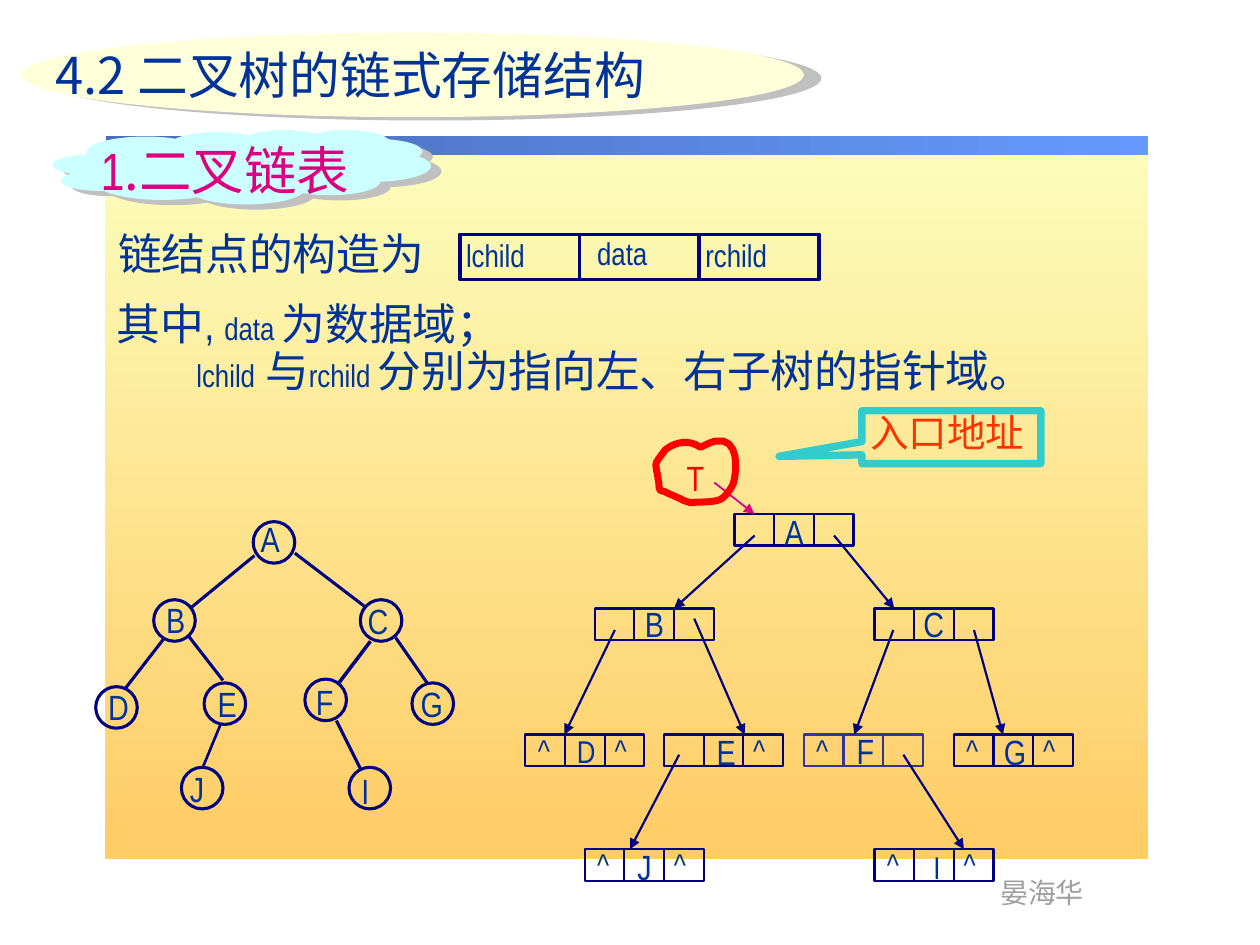
import dataclasses

import lxml.etree
import pptx
import pptx.dml.color
import pptx.enum.shapes
import pptx.enum.text
import pptx.oxml.ns
import pptx.util

SHAPE = pptx.enum.shapes.MSO_SHAPE
ANCHOR = pptx.enum.text.MSO_ANCHOR
qn = pptx.oxml.ns.qn


@dataclasses.dataclass(frozen=True)
class Theme:
    latin: str = "Arial Narrow"
    cjk: str = "Noto Sans CJK SC"
    ink: str = "003399"
    navy: str = "000080"
    violet: str = "333399"
    magenta: str = "DC0081"
    red: str = "FF0000"
    orange: str = "FF3300"
    teal: str = "33CCCC"
    grey: str = "9F9F9F"
    shade: str = "C0C0C0"
    title: float = 29
    heading: float = 30
    body: float = 25
    callout: float = 22
    node: float = 20
    field: float = 18
    footer: float = 16


T = Theme()
CELL_W, CELL_H, CIRCLE = 0.315, 0.25, 0.33

# Linked nodes: left, top, label offset x, y, label size, null pointers (l, r)
LINKED = {
    "A": (5.83, 4.08, 0.30, -0.08, T.node, ""),
    "B": (4.72, 4.83, 0.30, -0.10, T.node, ""),
    "C": (6.94, 4.83, 0.29, -0.10, T.node, ""),
    "D": (4.17, 5.83, 0.31, -0.07, T.field, "lr"),
    "E": (5.27, 5.83, 0.32, -0.08, T.node, "r"),
    "F": (6.38, 5.83, 0.32, -0.09, T.node, "l"),
    "G": (7.57, 5.83, 0.30, -0.08, T.node, "lr"),
    "J": (4.64, 6.74, 0.32, -0.08, T.node, "lr"),
    "I": (6.94, 6.74, 0.37, -0.06, T.field, "lr"),
}
# Pointers: start, end, child whose left cell is hit at its top middle
POINTERS = [
    (5.99, 4.25, 5.35, 4.83, None), (6.62, 4.25, 7.09, 4.83, "C"),
    (4.88, 5.00, 4.48, 5.83, None), (5.51, 4.91, 5.91, 5.83, None),
    (7.09, 5.00, 6.78, 5.83, None), (7.73, 5.00, 7.96, 5.83, None),
    (5.39, 5.99, 5.00, 6.74, None), (7.17, 5.99, 7.65, 6.74, None),
]
# Tree nodes: circle left, top, label left, top
TREE = {
    "A": (2.01, 4.14, 1.97, 4.06), "B": (1.22, 4.76, 1.22, 4.70),
    "C": (2.86, 4.76, 2.82, 4.71), "D": (0.76, 5.45, 0.76, 5.39),
    "E": (1.62, 5.42, 1.63, 5.37), "F": (2.42, 5.39, 2.41, 5.35),
    "G": (3.27, 5.42, 3.24, 5.37), "I": (2.77, 6.09, 2.77, 6.06),
    "J": (1.44, 6.09, 1.41, 6.04),
}
EDGES = [
    (2.69, 5.42, 2.94, 5.09, 2), (1.49, 5.04, 1.77, 5.40, 1.75),
    (0.99, 5.47, 1.30, 5.07, 1.75), (2.34, 4.39, 2.89, 4.81, 1.75),
    (1.52, 4.82, 2.02, 4.41, 1.75), (1.61, 6.09, 1.75, 5.75, 1.5),
    (2.67, 5.72, 2.86, 6.10, 1.75), (3.14, 5.06, 3.39, 5.42, 1.75),
]
# Loop around T: start point, then Bezier segments (two controls, end)
LOOP_START = (5.56, 3.55)
LOOP = [
    (5.47, 3.49, 5.37, 3.50, 5.28, 3.57), (5.18, 3.71, 5.20, 3.64, 5.23, 3.84),
    (5.23, 3.86, 5.23, 3.88, 5.24, 3.89), (5.26, 3.90, 5.28, 3.90, 5.29, 3.91),
    (5.50, 4.00, 5.36, 3.95, 5.48, 3.99), (5.55, 3.98, 5.63, 3.99, 5.70, 3.97),
    (5.76, 3.96, 5.82, 3.84, 5.82, 3.84), (5.85, 3.73, 5.87, 3.47, 5.68, 3.50),
    (5.64, 3.51, 5.60, 3.53, 5.56, 3.55),
]


def inch(v):
    return pptx.util.Cm(v * 2.54)


def rgb(color):
    return pptx.dml.color.RGBColor.from_string(color)


def outer_shadow(color, dist, angle):
    effects = lxml.etree.Element(qn("a:effectLst"))
    shadow = lxml.etree.SubElement(
        effects, qn("a:outerShdw"), dist=str(pptx.util.Pt(dist)),
        dir=str(angle * 60000), algn="ctr", rotWithShape="0")
    lxml.etree.SubElement(shadow, qn("a:srgbClr"), val=color)
    return effects


def style_line(line, color, width):
    line.color.rgb = rgb(color)
    line.width = pptx.util.Pt(width)


def shape(s, kind, x, y, w, h, fill=None, line=None, width=1.25):
    sp = s.shapes.add_shape(kind, inch(x), inch(y), inch(w), inch(h))
    sp.shadow.inherit = False
    paint(sp, fill, line, width)
    return sp


def paint(sp, fill, line, width):
    if isinstance(fill, tuple):
        start, end, angle = fill
        sp.fill.gradient()
        sp.fill.gradient_angle = angle
        for stop, color in zip(sp.fill.gradient_stops, (start, end)):
            stop.color.rgb = rgb(color)
    elif fill:
        sp.fill.solid()
        sp.fill.fore_color.rgb = rgb(fill)
    else:
        sp.fill.background()
    if line:
        style_line(sp.line, line, width)
    else:
        sp.line.fill.background()


def cast_shadow(sp, dist, angle):
    old = sp.element.spPr.find(qn("a:effectLst"))
    sp.element.spPr.replace(old, outer_shadow(T.shade, dist, angle))


def format_run(r, size, color=T.ink, font=T.latin):
    r.font.size = pptx.util.Pt(size)
    r.font.color.rgb = rgb(color)
    r.font.name = font
    ea = lxml.etree.Element(qn("a:ea"), typeface=T.cjk)
    r.font._element.find(qn("a:latin")).addnext(ea)


def text(s, value, x, y, w, h, size, color=T.ink, font=T.latin, anchor=ANCHOR.TOP):
    sp = s.shapes.add_textbox(inch(x), inch(y), inch(w), inch(h))
    tf = sp.text_frame
    tf.word_wrap = True
    tf.vertical_anchor = anchor
    tf.text = value
    format_run(tf.paragraphs[0].runs[0], size, color, font)
    return sp


def add_runs(p, parts):
    for value, size, font in parts:
        r = p.add_run()
        r.text = value
        format_run(r, size, font=font)


def line(s, x1, y1, x2, y2, width, color=T.navy, arrow=False, target=None):
    c = s.shapes.add_connector(pptx.enum.shapes.MSO_CONNECTOR.STRAIGHT,
                               inch(x1), inch(y1), inch(x2), inch(y2))
    style_line(c.line, color, width)
    if target is not None:
        c.end_connect(target, 0)
    if arrow:
        lxml.etree.SubElement(c.line._get_or_add_ln(), qn("a:tailEnd"), type="triangle")
    lxml.etree.SubElement(c.element.spPr, qn("a:effectLst"))


def linked_node(s, name):
    x, y, dx, dy, size, nulls = LINKED[name]
    color = T.violet if name == "F" else T.navy
    cells = [shape(s, SHAPE.RECTANGLE, x + i * CELL_W, y, CELL_W, CELL_H, line=color)
             for i in range(3)]
    text(s, name, x + dx, y + dy, 0.4, 0.43, size)
    for side in nulls:
        text(s, "^", x + (0.61 if side == "r" else 0), y - 0.08, 0.4, 0.5, T.field)
    return cells[0]


def loop(s, steps=8):
    points, start = [], LOOP_START
    for x1, y1, x2, y2, x3, y3 in LOOP:
        for t in (i / steps for i in range(1, steps + 1)):
            u = 1 - t
            weights = (u ** 3, 3 * u * u * t, 3 * u * t * t, t ** 3)
            points.append(tuple(inch(sum(k * v for k, v in zip(weights, axis)))
                                for axis in ((start[0], x1, x2, x3), (start[1], y1, y2, y3))))
        start = (x3, y3)
    fb = s.shapes.build_freeform(inch(LOOP_START[0]), inch(LOOP_START[1]))
    fb.add_line_segments(points, close=True)
    sp = fb.convert_to_shape()
    sp.shadow.inherit = False
    paint(sp, None, T.red, 4)


def headings(s):
    oval = shape(s, SHAPE.OVAL, 0.17, 0.26, 6.21, 0.67, "FFFFD9")
    cast_shadow(oval, 10.2, 11)
    title = s.shapes.title
    title.left, title.top, title.width, title.height = map(inch, (0.34, 0.3, 6.23, 0.58))
    tf = title.text_frame
    tf.text = "4.2 二叉树的链式存储结构"
    tf.auto_size = pptx.enum.text.MSO_AUTO_SIZE.NONE
    tf.vertical_anchor = ANCHOR.TOP
    p = tf.paragraphs[0]
    p.alignment = pptx.enum.text.PP_ALIGN.LEFT
    format_run(p.runs[0], T.title, font=T.cjk)
    oval.element.addnext(title.element)

    cloud = shape(s, SHAPE.CLOUD, 0.42, 1.03, 3, 0.59, "CCFFFF")
    cast_shadow(cloud, 6.7, 27)
    sp = text(s, "1", 0.7, 1.05, 2.5, 0.6, T.heading, T.magenta)
    r = sp.text_frame.paragraphs[0].add_run()
    r.text = ".二叉链表"
    format_run(r, T.heading, T.magenta, T.cjk)


def explanation(s):
    text(s, "链结点的构造为", 0.84, 1.75, 2.8, 0.52, T.body)
    for i, (name, x, y) in enumerate([("lchild", 3.6, 1.86), ("data", 4.64, 1.84),
                                      ("rchild", 5.5, 1.86)]):
        text(s, name, x, y, 1.08, 0.33, T.field, anchor=ANCHOR.MIDDLE)
        shape(s, SHAPE.RECTANGLE, 3.65 + 0.95 * i, 1.86, 0.95, 0.36, line=T.navy, width=2)

    sp = text(s, "其中", 0.83, 2.35, 8.52, 0.85, T.body, font=T.cjk)
    first = sp.text_frame.paragraphs[0]
    add_runs(first, [(", ", T.body, T.latin), ("data ", T.field, T.latin),
                     ("为数据域；", T.body, T.latin)])
    second = sp.text_frame.add_paragraph()
    add_runs(second, [("lchild", T.field, T.latin), (" 与", T.body, T.latin),
                      ("rchild ", T.field, T.latin),
                      ("分别为指向左、右子树的指针域。", T.body, T.latin)])
    second._p.get_or_add_pPr().set("marL", str(inch(0.63)))
    first.line_spacing = second.line_spacing = 0.9


def linked_list(s):
    first_cells = {name: linked_node(s, name) for name in LINKED}
    for x1, y1, x2, y2, child in POINTERS:
        line(s, x1, y1, x2, y2, 1.25, arrow=True, target=first_cells.get(child))
    text(s, "T", 5.35, 3.57, 0.39, 0.43, T.node, T.red)
    line(s, 5.67, 3.83, 5.99, 4.08, 1, T.magenta, arrow=True, target=first_cells["A"])
    loop(s)


def binary_tree(s):
    for name, (x, y, label_x, label_y) in TREE.items():
        shape(s, SHAPE.OVAL, x, y, CIRCLE, CIRCLE, line=T.navy, width=1.75)
        text(s, name, label_x, label_y, 0.4, 0.43, T.node)
    for edge in EDGES:
        line(s, *edge)


def entry_callout(s):
    sp = shape(s, SHAPE.RECTANGULAR_CALLOUT, 6.84, 3.26, 1.42, 0.42, line=T.teal, width=4.25)
    sp.adjustments[0], sp.adjustments[1] = -0.963, 0.362
    label = text(s, "入口地址", 6.81, 3.2, 1.83, 0.47, T.callout, T.orange)
    r = label.text_frame.paragraphs[0].runs[0]
    r.font._element.find(qn("a:solidFill")).addnext(outer_shadow("000000", 2, 45))


def main():
    prs = pptx.Presentation()
    prs.slide_width, prs.slide_height = inch(10), inch(7.5)
    s = prs.slides.add_slide(prs.slide_layouts[5])
    # Backdrop and footer
    shape(s, SHAPE.RECTANGLE, 0.83, 1.1, 8.28, 5.72, ("FCFEBC", "FFCC66", 270))
    shape(s, SHAPE.RECTANGLE, 0.84, 1.08, 8.27, 0.15, ("496DB6", "6699FF", 0))
    text(s, "晏海华", 7.84, 6.9, 1, 0.37, T.footer, T.grey)
    # Diagrams, then headings and explanation
    linked_list(s)
    binary_tree(s)
    headings(s)
    explanation(s)
    entry_callout(s)
    prs.save("out.pptx")


if __name__ == "__main__":
    main()
